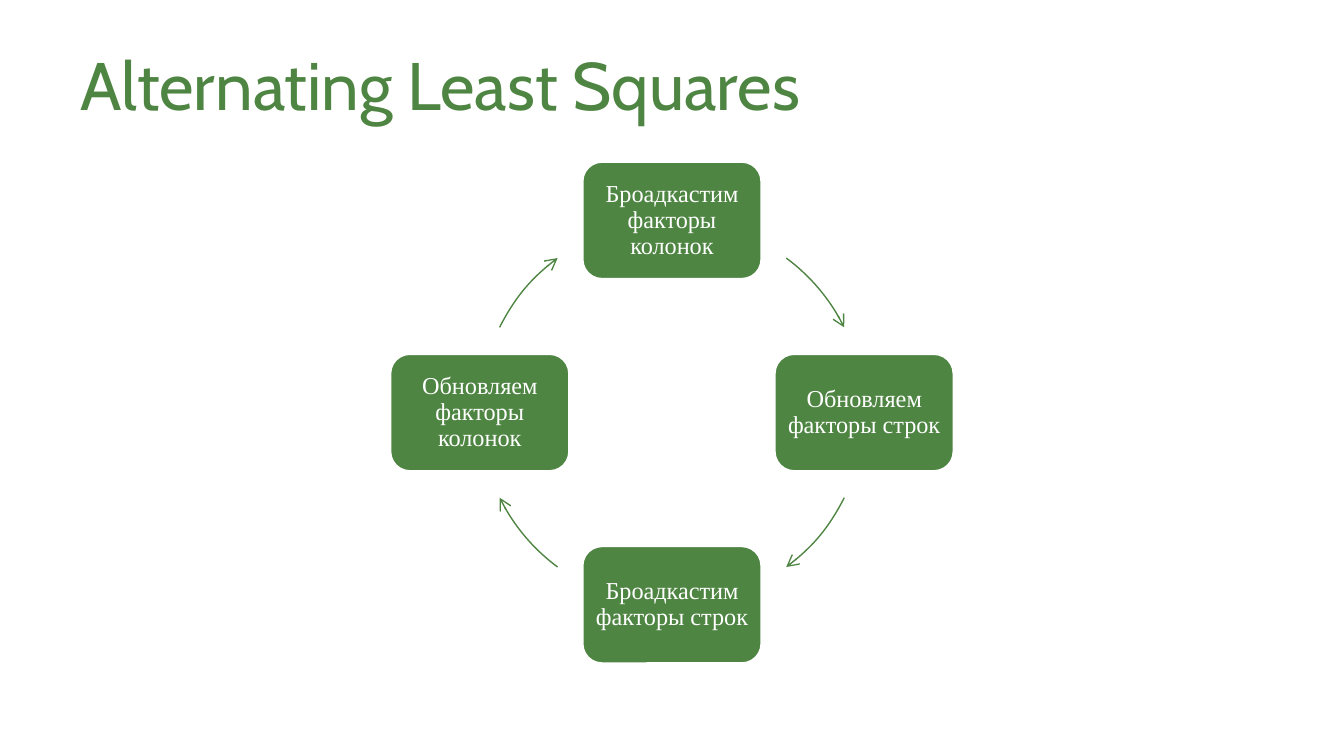
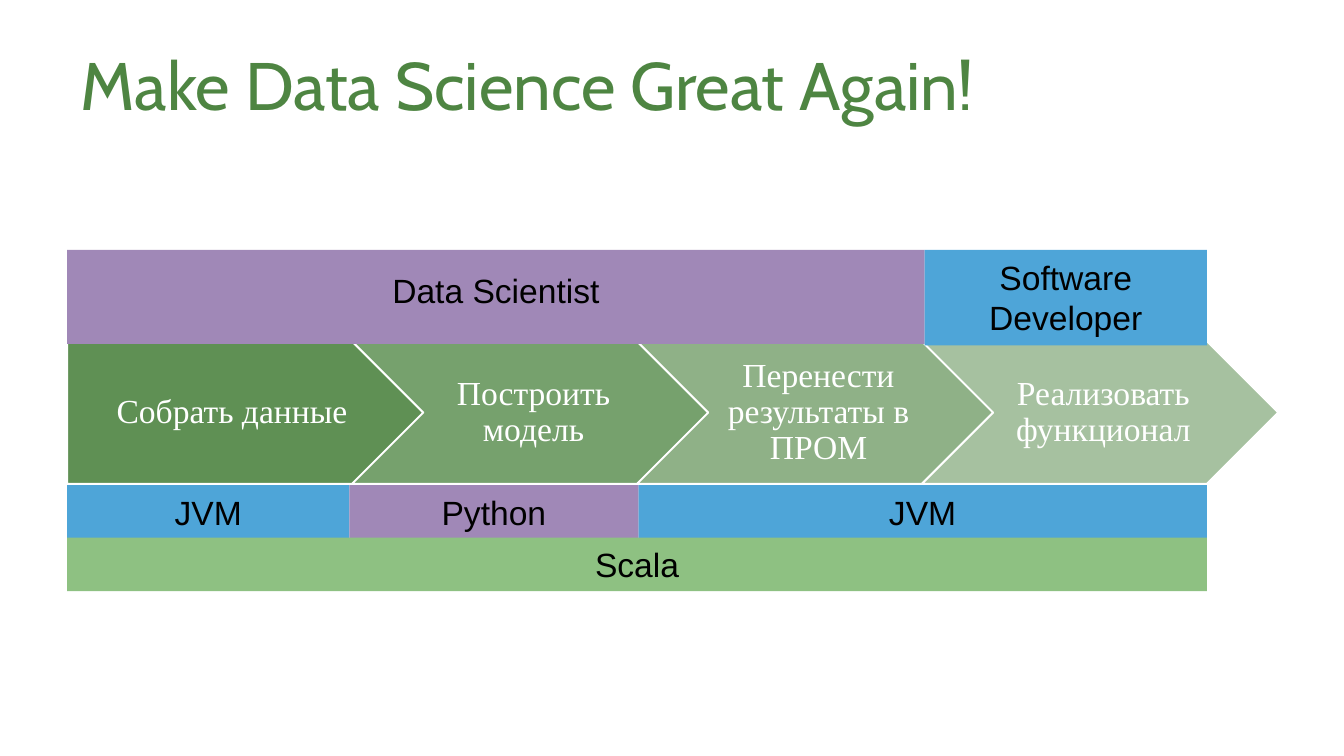
from lxml import etree
from pptx import Presentation
from pptx.dml.color import RGBColor
from pptx.enum.shapes import MSO_SHAPE
from pptx.enum.text import MSO_ANCHOR, MSO_AUTO_SIZE, PP_ALIGN
from pptx.oxml.ns import qn
from pptx.util import Inches, Pt

ROUNDED, ARC, RECT = MSO_SHAPE.ROUNDED_RECTANGLE, MSO_SHAPE.ARC, MSO_SHAPE.RECTANGLE
PENTAGON, CHEVRON = MSO_SHAPE.PENTAGON, MSO_SHAPE.CHEVRON
TOP, MIDDLE, BOTTOM = MSO_ANCHOR.TOP, MSO_ANCHOR.MIDDLE, MSO_ANCHOR.BOTTOM
LEFT, CENTER = PP_ALIGN.LEFT, PP_ALIGN.CENTER
NO_FIT, FIT_SHAPE = MSO_AUTO_SIZE.NONE, MSO_AUTO_SIZE.SHAPE_TO_FIT_TEXT

THEME = {
    "green": RGBColor(0x4E, 0x85, 0x42),
    "light_green": RGBColor(0x8E, 0xC1, 0x82),
    "purple": RGBColor(0xA0, 0x88, 0xB7),
    "blue": RGBColor(0x4E, 0xA5, 0xD8),
    "white": RGBColor(0xFF, 0xFF, 0xFF),
    "black": RGBColor(0, 0, 0),
    "title_font": "Cabin",
    "diagram_font": "Times New Roman",
    "bar_font": "Arial",
    "title_size": 36,
    "cycle_size": 13,
    "process_size": 18,
    "bar_size": 18,
}


def write(shape, text, role, color, align, anchor, insets, fit=NO_FIT):
    frame = shape.text_frame
    frame.text = text
    frame.word_wrap = True
    frame.auto_size = fit
    frame.vertical_anchor = anchor
    (frame.margin_left, frame.margin_top,
     frame.margin_right, frame.margin_bottom) = map(Inches, insets)
    paragraph = frame.paragraphs[0]
    paragraph.alignment = align
    font_role = "diagram" if role in ("cycle", "process") else role
    paragraph.font.name = THEME[font_role + "_font"]
    paragraph.font.size = Pt(THEME[role + "_size"])
    paragraph.font.color.rgb = THEME[color]
    if font_role == "diagram":
        paragraph.line_spacing = 0.9


def block(slide, kind, box, fill, outlined=False):
    shape = slide.shapes.add_shape(kind, *map(Inches, box))
    shape.shadow.inherit = False
    shape.fill.solid()
    shape.fill.fore_color.rgb = THEME[fill]
    if outlined:
        shape.line.color.rgb = THEME["white"]
        shape.line.width = Pt(1)
    else:
        shape.line.fill.background()
    return shape


prs = Presentation()
prs.slide_width = Inches(10)
prs.slide_height = prs.slide_width * 9 // 16

slides = []
for heading in ("Alternating Least Squares", "Make Data Science Great Again!"):
    slide = prs.slides.add_slide(prs.slide_layouts[5])
    title = slide.shapes.title
    title.left, title.top, title.width, title.height = map(Inches, (0.5, 0.18, 9, 0.84))
    write(title, heading, "title", "green", LEFT, BOTTOM, (0.1, 0.05, 0.1, 0.1))
    slides.append(slide)
als_slide, process_slide = slides

center_x, center_y, radius = 5, 3.07, 1.43
step_width, step_height = 1.33, 0.87
arc_sweep = 27.2
steps = [
    ("Броадкастим факторы колонок", 0, -1, 306.5),
    ("Обновляем факторы строк", 1, 0, 26.3),
    ("Броадкастим факторы строк", 0, 1, 126.5),
    ("Обновляем факторы колонок", -1, 0, 206.3),
]
for label, across, down, arc_start in steps:
    step = block(als_slide, ROUNDED, (
        center_x + across * radius - step_width / 2,
        center_y + down * radius - step_height / 2,
        step_width, step_height), "green", outlined=True)
    write(step, label, "cycle", "white", CENTER, MIDDLE, (0.05,) * 4)

    arrow = als_slide.shapes.add_shape(
        ARC, Inches(center_x - radius), Inches(center_y - radius),
        Inches(2 * radius), Inches(2 * radius))
    arrow.shadow.inherit = False
    arrow.fill.background()
    arrow.adjustments[0] = arc_start * 0.6
    arrow.adjustments[1] = (arc_start + arc_sweep) * 0.6
    arrow.line.color.rgb = THEME["green"]
    arrow.line.width = Pt(0.75)
    outline = arrow.line.fill._xPr
    etree.SubElement(outline, qn("a:tailEnd"), type="arrow")

stages = [
    ("Собрать данные", 90),
    ("Построить модель", 77),
    ("Перенести результаты в ПРОМ", 63),
    ("Реализовать функционал", 50),
]
for index, (label, opacity) in enumerate(stages):
    stage = block(process_slide, CHEVRON if index else PENTAGON,
                  (0.5 + 2.12 * index, 2.54, 2.65, 1.06), "green", outlined=True)
    color = stage.fill._xPr.find(qn("a:solidFill"))[0]
    etree.SubElement(color, qn("a:alpha"), val=str(opacity * 1000))
    write(stage, label, "process", "white", CENTER, MIDDLE,
          (0.08 if index else 0.1, 0.05, 0.03, 0.05))

bars = [
    ("Data Scientist", (0.5, 1.86, 6.38, 0.7), "purple", 0.2),
    ("Software Developer", (6.88, 1.86, 2.1, 0.71), "blue", 0.05),
    ("JVM", (4.75, 3.61, 4.23, 0.4), "blue", 0.05),
    ("JVM", (0.5, 3.61, 2.1, 0.4), "blue", 0.05),
    ("Python", (2.6, 3.61, 2.15, 0.4), "purple", 0.05),
    ("Scala", (0.5, 4, 8.48, 0.4), "light_green", 0.05),
]
for label, box, fill, padding in bars:
    bar = block(process_slide, RECT, box, fill)
    write(bar, label, "bar", "black", CENTER, TOP, (0.1, padding, 0.1, padding), FIT_SHAPE)

prs.save("out.pptx")
